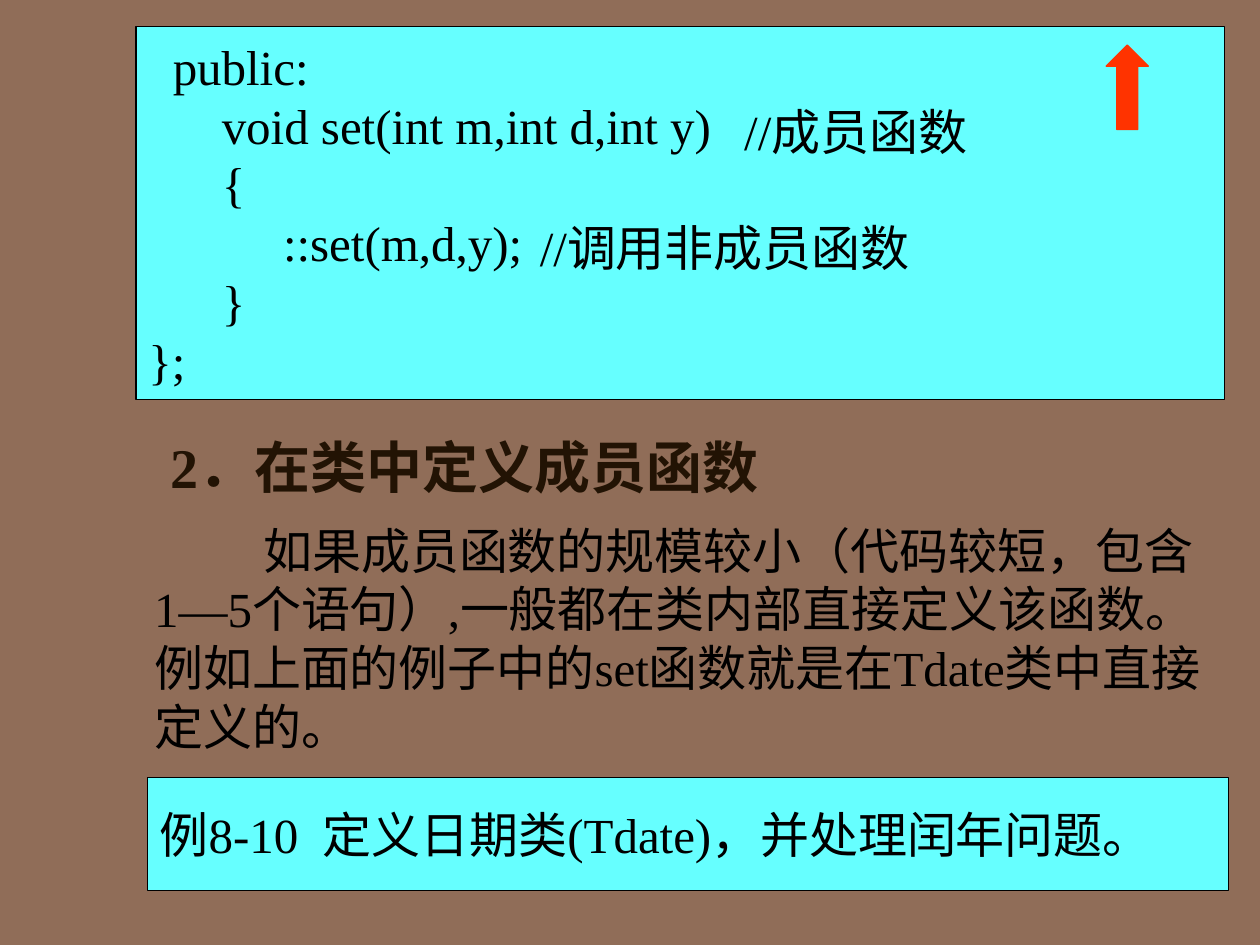
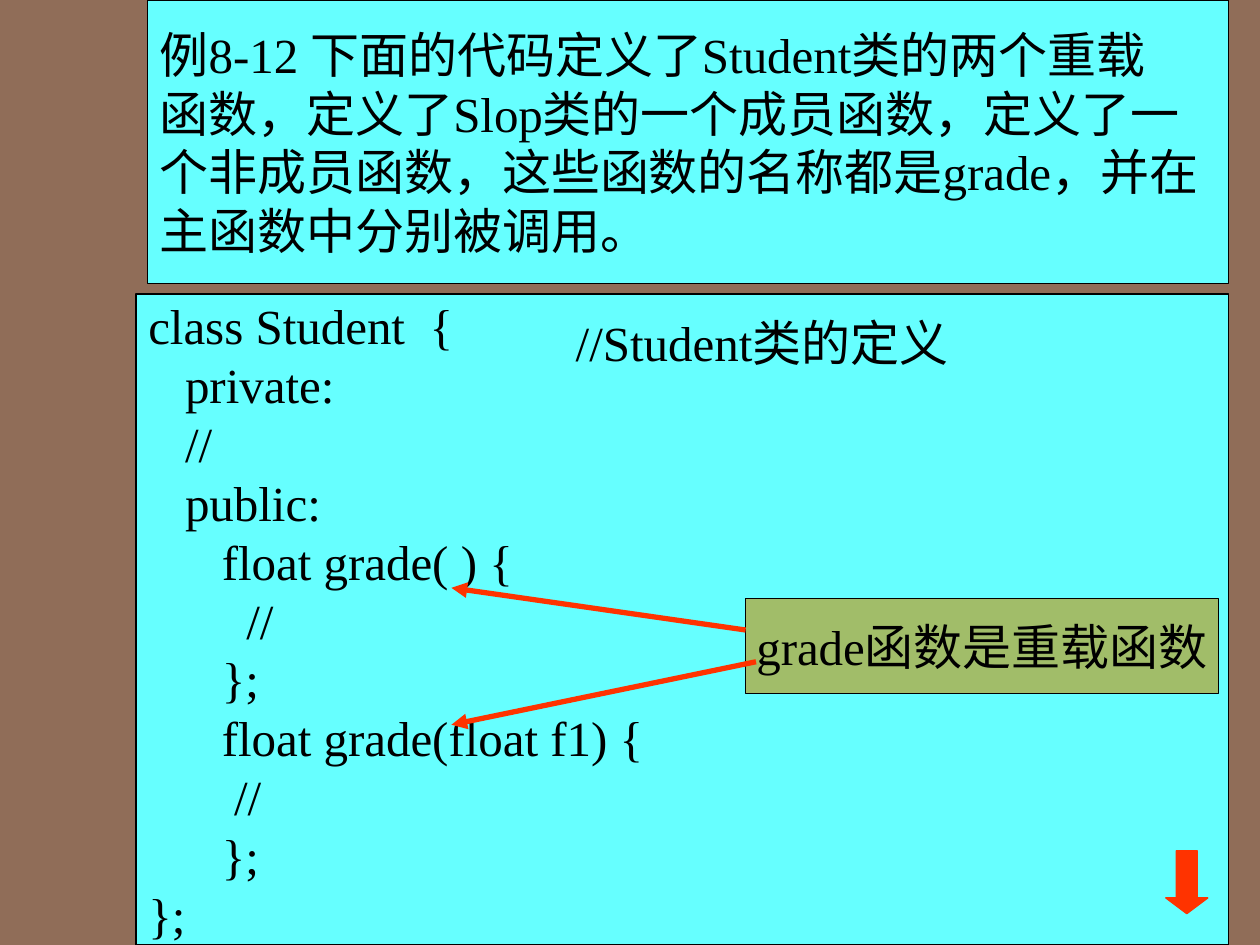
from lxml import etree
from pptx import Presentation, util as u
from pptx.dml.color import RGBColor
from pptx.enum import shapes, text
from pptx.oxml import ns

COLORS = {
    "background": "906D58",
    "panel": "66FFFF",
    "label": "A1BD69",
    "accent": "FF3300",
    "heading": "221304",
    "ink": "000000",
}
FONT = "Times New Roman"
SPACE_CM = 0.247  # width of one code column at 28 pt
MIDDLE, TOP = text.MSO_ANCHOR.MIDDLE, text.MSO_ANCHOR.TOP
LEFT, CENTER = text.PP_ALIGN.LEFT, text.PP_ALIGN.CENTER


def color(name):
    return RGBColor.from_string(COLORS[name])


def cm(*lengths):
    return [u.Cm(length) for length in lengths]


class Deck:
    """Shared style and the slide being filled."""

    def __init__(self):
        self.prs = Presentation()
        self.prs.slide_width, self.prs.slide_height = cm(25.4, 19.05)
        self.slide = None

    def new_slide(self):
        self.slide = self.prs.slides.add_slide(self.prs.slide_layouts[6])
        fill = self.slide.background.fill
        fill.solid()
        fill.fore_color.rgb = color("background")

    def set_lines(self, shape, lines, size=28, ink="ink", bold=False,
                  align=LEFT, anchor=MIDDLE, wrap=False):
        frame = shape.text_frame
        frame.word_wrap = wrap
        frame.vertical_anchor = anchor
        for number, line in enumerate(lines):
            par = frame.add_paragraph() if number else frame.paragraphs[0]
            par.text = line
            par.alignment = align
            par.font.name, par.font.size = FONT, u.Pt(size)
            par.font.bold = bold
            par.font.color.rgb = color(ink)
        return frame.paragraphs

    def textbox(self, box, line, **style):
        shape = self.slide.shapes.add_textbox(*cm(*box))
        return self.set_lines(shape, [line], wrap=True, **style)[0]

    def shape(self, kind, box, fill, line):
        shape = self.slide.shapes.add_shape(kind, *cm(*box))
        shape.shadow.inherit = False
        shape.fill.solid()
        shape.fill.fore_color.rgb = color(fill)
        shape.line.color.rgb = color(line)
        shape.line.width = u.Pt(0.75)
        return shape

    def panel(self, box, lines, fill="panel", line="ink", **style):
        shape = self.shape(shapes.MSO_SHAPE.RECTANGLE, box, fill, line)
        return self.set_lines(shape, lines, **style)

    def code(self, box, rows):
        """Rows are (indent in columns, statement)."""
        pars = self.panel(box, [row for _, row in rows], wrap=True)
        for par, (columns, _) in zip(pars, rows):
            par._p.get_or_add_pPr().set("marL", str(u.Cm(columns * SPACE_CM)))

    def comment(self, left, top, width, remark):
        self.panel((left, top, width, 1.47), [remark], line="panel",
                   align=CENTER)

    def block_arrow(self, kind, box, head):
        arrow = self.shape(kind, box, "accent", "accent")
        arrow.adjustments[0], arrow.adjustments[1] = 0.5, head

    def pointer(self, tip, end):
        pointer = self.slide.shapes.add_connector(
            shapes.MSO_CONNECTOR.STRAIGHT, *cm(*tip, *end))
        pointer.line.color.rgb = color("accent")
        pointer.line.width = u.Pt(3)
        properties = pointer._element.spPr
        etree.SubElement(properties.find(ns.qn("a:ln")), ns.qn("a:headEnd"),
                         type="triangle")
        etree.SubElement(properties, ns.qn("a:effectLst"))


def member_functions(deck):
    deck.new_slide()

    # Heading and explanation
    deck.textbox((3.18, 8.66, 21.44, 1.47), "2．在类中定义成员函数",
                 size=32, ink="heading", bold=True)
    explanation = deck.textbox(
        (2.86, 10.36, 21.62, 4.88),
        "如果成员函数的规模较小（代码较短，包含1—5个语句）,一般都在类内部"
        "直接定义该函数。例如上面的例子中的set函数就是在Tdate类中直接定义的。",
        anchor=TOP)
    explanation.space_before = u.Pt(7)
    explanation._p.get_or_add_pPr().set("indent", str(u.Cm(2.2)))

    # Class code with its comments
    deck.code((2.74, 0.53, 21.95, 7.52), [
        (2, "public:"),
        (6, "void set(int m,int d,int y)"),
        (6, "{"),
        (11, "::set(m,d,y);"),
        (6, "}"),
        (0, "};"),
    ])
    deck.comment(14.61, 1.91, 5.28, "//成员函数")
    deck.comment(10.8, 4.24, 7.62, "//调用非成员函数")
    deck.block_arrow(shapes.MSO_SHAPE.UP_ARROW, (22.3, 0.91, 0.85, 1.7), 0.5)

    # Next example
    deck.panel((2.97, 15.67, 21.8, 2.29),
               ["例8-10  定义日期类(Tdate)，并处理闰年问题。"])


def overloaded_functions(deck):
    deck.new_slide()

    # Example statement
    deck.panel((2.97, 0, 21.8, 5.72), [
        "例8-12 下面的代码定义了Student类的两个重载",
        "函数，定义了Slop类的一个成员函数，定义了一",
        "个非成员函数，这些函数的名称都是grade，并在",
        "主函数中分别被调用。",
    ])

    # Class code with its comment
    deck.code((2.74, 5.93, 22.02, 13.12), [
        (0, "class Student  {"),
        (3, "private:"),
        (3, "//"),
        (3, "public:"),
        (6, "float grade( ) {"),
        (8, "//"),
        (6, "};"),
        (6, "float grade(float f1) {"),
        (7, "//"),
        (6, "};"),
        (0, "};"),
    ])
    deck.comment(11.23, 6.15, 8.26, "//Student类的定义")
    deck.block_arrow(shapes.MSO_SHAPE.DOWN_ARROW,
                     (23.5, 17.15, 0.85, 1.27), 0.375)

    # Label pointing at both overloads
    deck.panel((15.03, 12.07, 9.53, 1.91), ["grade函数是重载函数"],
               fill="label", align=CENTER)
    deck.pointer((9.1, 11.85), (15.03, 12.7))
    deck.pointer((9.1, 14.61), (15.24, 13.34))


def main():
    deck = Deck()
    member_functions(deck)
    overloaded_functions(deck)
    deck.prs.save("out.pptx")


if __name__ == "__main__":
    main()
